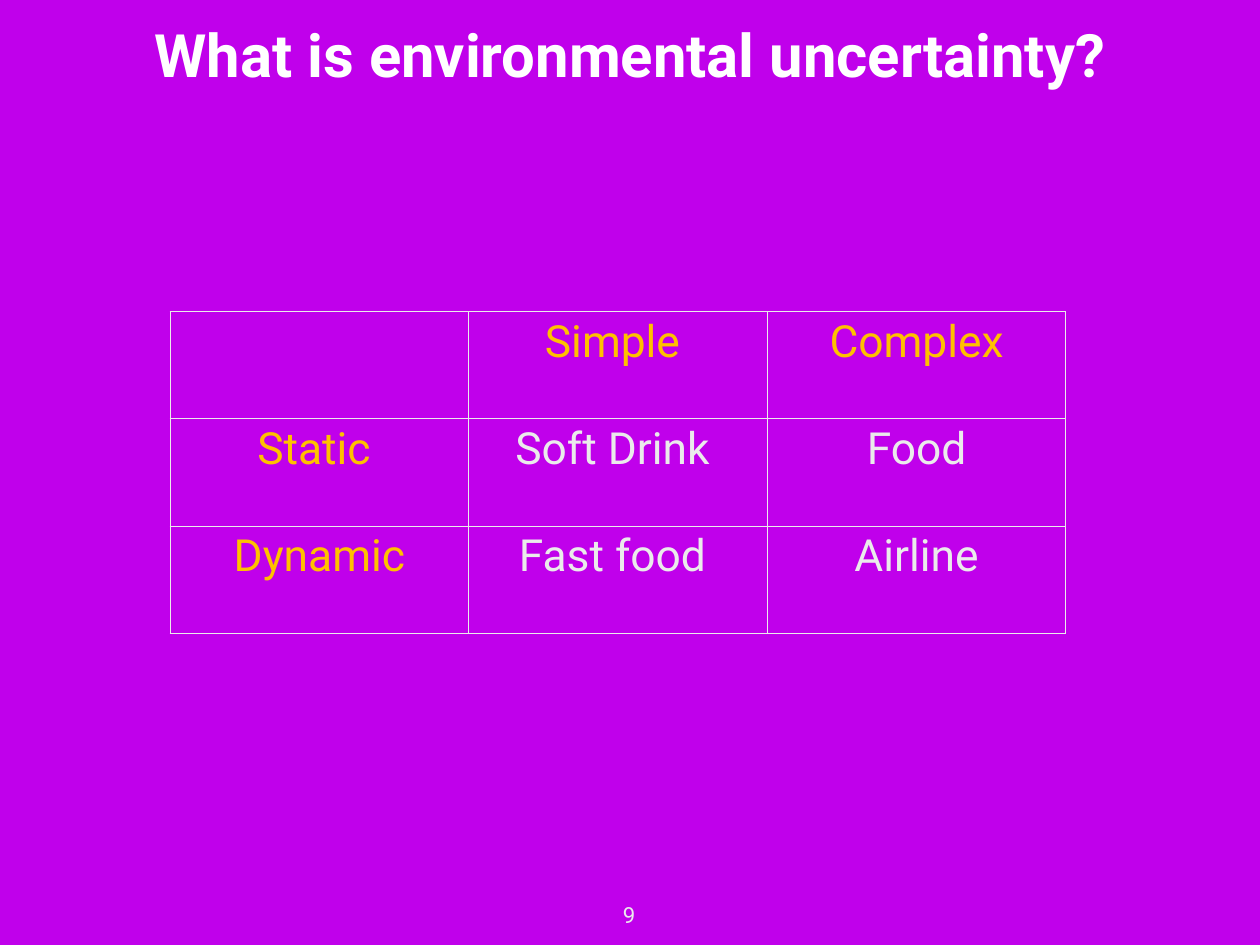
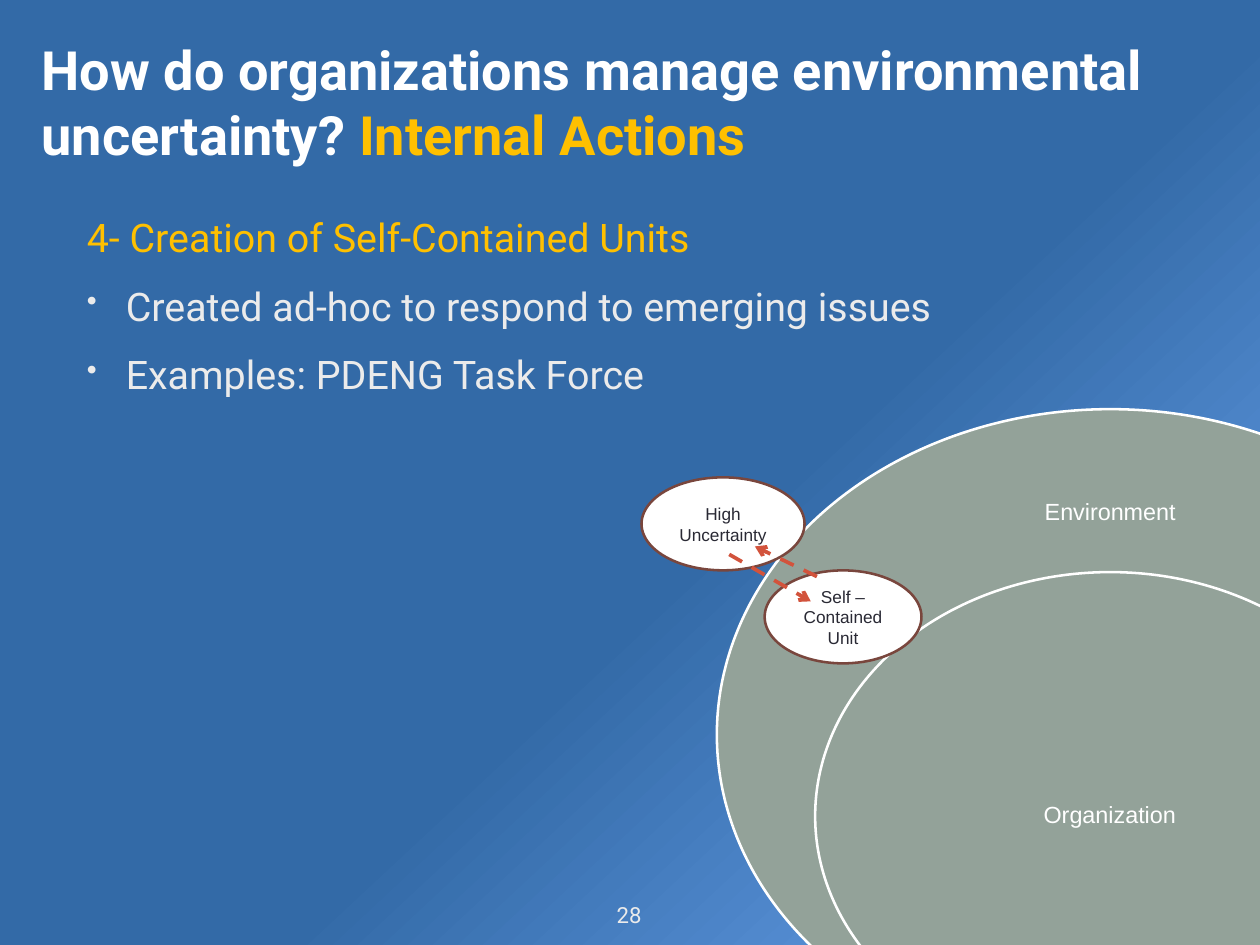
"""Build two slides on environmental uncertainty: a table and a diagram."""
from lxml import etree
from pptx import Presentation
from pptx.dml.color import RGBColor
from pptx.enum.dml import MSO_LINE
from pptx.enum.shapes import MSO_CONNECTOR, MSO_SHAPE
from pptx.enum.text import MSO_ANCHOR, MSO_AUTO_SIZE, PP_ALIGN
from pptx.oxml.ns import qn
from pptx.util import Inches, Pt

OVAL = MSO_SHAPE.OVAL
STRAIGHT = MSO_CONNECTOR.STRAIGHT
DASH = MSO_LINE.DASH
TOP, MIDDLE = MSO_ANCHOR.TOP, MSO_ANCHOR.MIDDLE
LEFT, CENTER = PP_ALIGN.LEFT, PP_ALIGN.CENTER
NO_AUTOSIZE = MSO_AUTO_SIZE.NONE

PURPLE = RGBColor(0xC0, 0x00, 0xEB)
BLUE = RGBColor(0x33, 0x6A, 0xA7)
LIGHT_BLUE = RGBColor(0x61, 0x9A, 0xE3)
WHITE = RGBColor(0xFF, 0xFF, 0xFF)
PALE = RGBColor(0xEB, 0xEB, 0xEB)
GOLD = RGBColor(0xFF, 0xC0, 0x00)
SAGE = RGBColor(0x93, 0xA2, 0x99)
BROWN = RGBColor(0x79, 0x46, 0x3D)
INK = RGBColor(0x29, 0x29, 0x34)
RED = RGBColor(0xD2, 0x53, 0x3C)

SLIDE_FONT, DIAGRAM_FONT = "Roboto", "Arial"
TEXT_INSET, LABEL_INSET = 0.06, 0.15

TABLE_TITLE = [("What is environmental uncertainty?", WHITE)]
TABLE_ROWS = [
    ("", "Simple ", "Complex"),
    ("Static ", "Soft Drink ", "Food"),
    ("Dynamic", "Fast food ", "Airline"),
]
TABLE_LEFT, TABLE_TOP, COLUMN_WIDTH, ROW_HEIGHT = 1.92, 3.52, 3.37, 1.21

UNITS_TITLE = [
    ("How do organizations manage environmental uncertainty? ", WHITE),
    ("Internal Actions", GOLD),
]
UNITS_HEADING = "4- Creation of Self-Contained Units"
UNITS_BULLETS = [
    "Created ad-hoc to respond to emerging issues",
    "Examples: PDENG Task Force",
]
RINGS = [
    ((8.09, 4.62, 8.88, 7.35), "Environment", (10.88, 5.35, 3.3, 0.88)),
    ((9.2, 6.46, 6.66, 5.51), "Organization", (10.86, 8.24, 3.33, 1.95)),
]
BUBBLES = [
    ((8.63, 6.44, 1.77, 1.05), "Self – Contained Unit"),
    ((7.24, 5.39, 1.84, 1.05), "High Uncertainty"),
]
ARROWS = [(8.23, 6.26, 9.15, 6.79), (9.22, 6.51, 8.52, 6.17)]


def inches(values):
    return [Inches(value) for value in values]


def style(para, size, color, align=LEFT, font=SLIDE_FONT):
    para.alignment = align
    para.font.name = font
    para.font.size = Pt(size)
    para.font.color.rgb = color


def prepare_frame(shape, inset, anchor, wrap=True):
    frame = shape.text_frame
    frame.auto_size = NO_AUTOSIZE
    frame.word_wrap = wrap
    frame.vertical_anchor = anchor
    frame.margin_left = frame.margin_right = Inches(inset)
    frame.margin_top = frame.margin_bottom = Inches(inset)
    return frame


def add_text(page, place, text, size, color, font=SLIDE_FONT, inset=TEXT_INSET, wrap=True):
    box = page.shapes.add_textbox(*inches(place))
    para = prepare_frame(box, inset, MIDDLE, wrap).paragraphs[0]
    para.text = text
    style(para, size, color, CENTER, font)
    return para


def add_page(deck, title_parts, place, size, align, anchor, number):
    page = deck.slides.add_slide(deck.slide_layouts[5])
    title = page.shapes.title
    title.left, title.top, title.width, title.height = inches(place)
    para = prepare_frame(title, TEXT_INSET, anchor).paragraphs[0]
    style(para, size, WHITE, align)
    para.font.bold = True
    for text, color in title_parts:
        span = para.add_run()
        span.text = text
        span.font.color.rgb = color
    add_text(page, (6.97, 10.12, 0.26, 0.41), number, 18, PALE, wrap=False)
    return page


def add_borders(cell):
    properties = cell._tc.get_or_add_tcPr()
    for side in ("lnL", "lnR", "lnT", "lnB"):
        line = etree.SubElement(properties, qn(f"a:{side}"), w=str(Pt(1)))
        fill = etree.SubElement(line, qn("a:solidFill"))
        etree.SubElement(fill, qn("a:srgbClr"), val=str(PALE))


def add_matrix(page):
    rows, columns = len(TABLE_ROWS), len(TABLE_ROWS[0])
    place = (TABLE_LEFT, TABLE_TOP, COLUMN_WIDTH * columns, ROW_HEIGHT * rows)
    table = page.shapes.add_table(rows, columns, *inches(place)).table
    table.first_row = table.horz_banding = False
    for row, texts in enumerate(TABLE_ROWS):
        for column, text in enumerate(texts):
            cell = table.cell(row, column)
            add_borders(cell)
            cell.fill.background()
            para = cell.text_frame.paragraphs[0]
            para.text = text
            style(para, 36, PALE if row and column else GOLD, CENTER)


def add_bullet(para):
    properties = para._p.get_or_add_pPr()
    properties.set("marL", str(Inches(0.44)))
    properties.set("indent", str(Inches(-0.44)))
    etree.SubElement(properties, qn("a:buSzPct"), val="75000")
    etree.SubElement(properties, qn("a:buChar"), char="•")


def add_body(page):
    box = page.shapes.add_textbox(*inches((0.92, 2.45, 12.56, 2.64)))
    frame = prepare_frame(box, TEXT_INSET, TOP)
    for index, text in enumerate([UNITS_HEADING, *UNITS_BULLETS]):
        para = frame.add_paragraph() if index else frame.paragraphs[0]
        para.text = text
        para.line_spacing = 0.8
        para.space_before = Pt(25)
        if index:
            add_bullet(para)
        style(para, 32, PALE if index else GOLD)


def add_ellipse(page, place, fill, outline):
    ellipse = page.shapes.add_shape(OVAL, *inches(place))
    ellipse.shadow.inherit = False
    ellipse.fill.solid()
    ellipse.fill.fore_color.rgb = fill
    ellipse.line.color.rgb = outline
    ellipse.line.width = Pt(2.08)
    return ellipse


def add_arrow(page, ends):
    arrow = page.shapes.add_connector(STRAIGHT, *inches(ends))
    arrow.line.color.rgb = RED
    arrow.line.width = Pt(3)
    arrow.line.dash_style = DASH
    etree.SubElement(arrow.line._get_or_add_ln(), qn("a:tailEnd"), type="arrow")
    etree.SubElement(arrow._element.spPr, qn("a:effectLst"))


def add_diagram(page):
    for place, label, label_place in RINGS:
        add_ellipse(page, place, SAGE, WHITE)
        para = add_text(page, label_place, label, 19, WHITE, DIAGRAM_FONT, LABEL_INSET)
        para.line_spacing = 0.9
    for place, label in BUBBLES:
        frame = add_ellipse(page, place, WHITE, BROWN).text_frame
        frame.word_wrap = True
        frame.vertical_anchor = MIDDLE
        frame.text = label
        style(frame.paragraphs[0], 14, INK, CENTER, DIAGRAM_FONT)
    for ends in ARROWS:
        add_arrow(page, ends)


def build_table_page(deck):
    place = (0.83, 0.14, 12.56, 1.5)
    page = add_page(deck, TABLE_TITLE, place, 48.6, CENTER, TOP, "9")
    page.background.fill.solid()
    page.background.fill.fore_color.rgb = PURPLE
    add_matrix(page)


def build_units_page(deck):
    place = (0.41, 0.22, 13.57, 1.85)
    page = add_page(deck, UNITS_TITLE, place, 44, LEFT, MIDDLE, "28")
    fill = page.background.fill
    fill.gradient()
    fill.gradient_angle = 360 - 47
    for stop, position, color in zip(fill.gradient_stops, (0.57, 0.9), (BLUE, LIGHT_BLUE)):
        stop.position = position
        stop.color.rgb = color
    add_body(page)
    add_diagram(page)


def main():
    deck = Presentation()
    deck.slide_width, deck.slide_height = inches((14.22, 10.67))
    build_table_page(deck)
    build_units_page(deck)
    deck.save("out.pptx")


if __name__ == "__main__":
    main()
